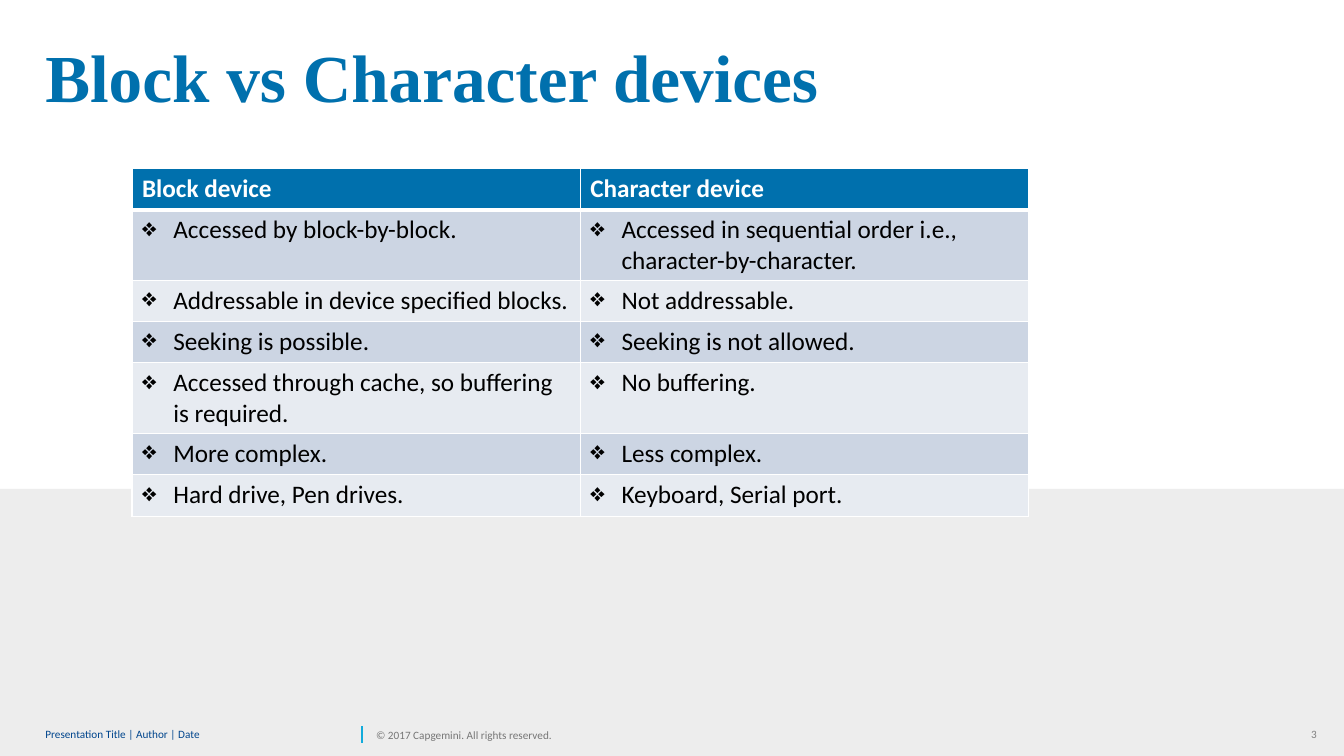
from lxml import etree
from pptx import Presentation
from pptx.dml.color import RGBColor
from pptx.enum import shapes, text
from pptx.oxml import ns
from pptx.util import Inches, Pt

WHITE = RGBColor(0xFF, 0xFF, 0xFF)
BLACK = RGBColor(0x00, 0x00, 0x00)
BLUE = RGBColor(0x00, 0x70, 0xAD)
NAVY = RGBColor(0x00, 0x45, 0x8D)
CYAN = RGBColor(0x12, 0xAB, 0xDB)
PANEL_GREY = RGBColor(0xED, 0xED, 0xED)
COPYRIGHT_GREY = RGBColor(0x76, 0x76, 0x76)
NUMBER_GREY = RGBColor(0x80, 0x80, 0x80)
BANDS = (RGBColor(0xCC, 0xD5, 0xE3), RGBColor(0xE7, 0xEB, 0xF1))

HEADINGS = ("Block device", "Character device")
COMPARISONS = (
    ("Accessed by block-by-block.",
     "Accessed in sequential order i.e., character-by-character."),
    ("Addressable in device specified blocks.", "Not addressable."),
    ("Seeking is possible.", "Seeking is not allowed."),
    ("Accessed through cache, so buffering is required.", "No buffering."),
    ("More complex.", "Less complex."),
    ("Hard drive, Pen drives.", "Keyboard, Serial port."),
)


def add_element(parent, tag, **attributes):
    element = etree.SubElement(parent, ns.qn(tag))
    for name, value in attributes.items():
        element.set(name, str(value))
    return element


def write_text(paragraph, content, size=18, color=BLACK, font="Calibri",
               bold=False, spacing=None, align=None):
    run = paragraph.add_run()
    run.text = content
    run.font.size = Pt(size)
    run.font.name = font
    run.font.bold = bold
    run.font.color.rgb = color
    if spacing:
        paragraph.line_spacing = spacing
    if align is not None:
        paragraph.alignment = align


def add_text(slide, box, content, anchor=text.MSO_ANCHOR.TOP, inset=0,
             wrap=True, **text_format):
    shape = slide.shapes.add_textbox(*map(Inches, box))
    frame = shape.text_frame
    frame.word_wrap = wrap
    frame.vertical_anchor = anchor
    frame.margin_left = frame.margin_right = Inches(inset)
    frame.margin_top = frame.margin_bottom = Inches(inset / 2)
    write_text(frame.paragraphs[0], content, **text_format)


def add_background(slide, box):
    panel = slide.shapes.add_shape(shapes.MSO_SHAPE.RECTANGLE, *map(Inches, box))
    panel.shadow.inherit = False
    panel.fill.solid()
    panel.fill.fore_color.rgb = PANEL_GREY
    panel.line.fill.background()


def add_footer(slide, box):
    left, top, width, height = box
    middle = text.MSO_ANCHOR.MIDDLE
    add_text(slide, (left, top, 3.09, height), "Presentation Title | Author | Date",
             anchor=middle, size=8, color=NAVY, spacing=0.85)

    # Divider
    divider_x = Inches(left + 3.14)
    divider = slide.shapes.add_connector(
        shapes.MSO_CONNECTOR.STRAIGHT,
        divider_x, Inches(top + 0.2), divider_x, Inches(top + 0.03))
    divider.line.color.rgb = CYAN
    divider.line.width = Pt(1)
    add_element(divider._element.spPr, "a:effectLst")

    add_text(slide, (left + 3.28, top, 2.43, height),
             "© 2017 Capgemini. All rights reserved.",
             anchor=middle, wrap=False, size=8, color=COPYRIGHT_GREY)

    # Slide number
    add_text(slide, (left + width - 0.27, top, 0.27, height), "3", inset=0.1,
             wrap=False, size=8, color=NUMBER_GREY, align=text.PP_ALIGN.RIGHT)


def set_borders(cell, bottom_width):
    properties = cell._tc.get_or_add_tcPr()
    for side, width in (("L", 1), ("R", 1), ("T", 1), ("B", bottom_width)):
        line = add_element(properties, f"a:ln{side}", w=Pt(width))
        add_element(add_element(line, "a:solidFill"), "a:srgbClr", val=WHITE)


def add_bullet(paragraph):
    indent = Inches(0.31)
    properties = paragraph._p.get_or_add_pPr()
    properties.set("marL", str(indent))
    properties.set("indent", str(-indent))
    add_element(properties, "a:buChar", char="❖")


def add_comparison_table(slide, box):
    rows = (HEADINGS, *COMPARISONS)
    table = slide.shapes.add_table(len(rows), len(HEADINGS), *map(Inches, box)).table
    for column in table.columns:
        column.width = Inches(box[2] / len(HEADINGS))
    for row_index, contents in enumerate(rows):
        is_heading = row_index == 0
        table.rows[row_index].height = Inches(0.41)
        for column_index, content in enumerate(contents):
            cell = table.cell(row_index, column_index)
            set_borders(cell, bottom_width=3 if is_heading else 1)
            cell.fill.solid()
            cell.fill.fore_color.rgb = BLUE if is_heading else BANDS[(row_index - 1) % 2]
            paragraph = cell.text_frame.paragraphs[0]
            if not is_heading:
                add_bullet(paragraph)
            write_text(paragraph, content, bold=is_heading,
                       color=WHITE if is_heading else BLACK)


def build_comparison_slide(presentation):
    slide = presentation.slides.add_slide(presentation.slide_layouts[6])
    add_background(slide, (0, 4.85, 13.33, 2.65))
    add_footer(slide, (0.45, 7.17, 12.71, 0.24))
    add_text(slide, (0.45, 0.44, 12.05, 0.94), "Block vs Character devices",
             size=48, color=BLUE, font="Times New Roman", bold=True, spacing=0.9)
    add_comparison_table(slide, (1.31, 1.67, 8.89, 2.87))


def main():
    presentation = Presentation()
    presentation.slide_width = Inches(13.33)
    presentation.slide_height = Inches(7.5)
    build_comparison_slide(presentation)
    presentation.save("out.pptx")


if __name__ == "__main__":
    main()
